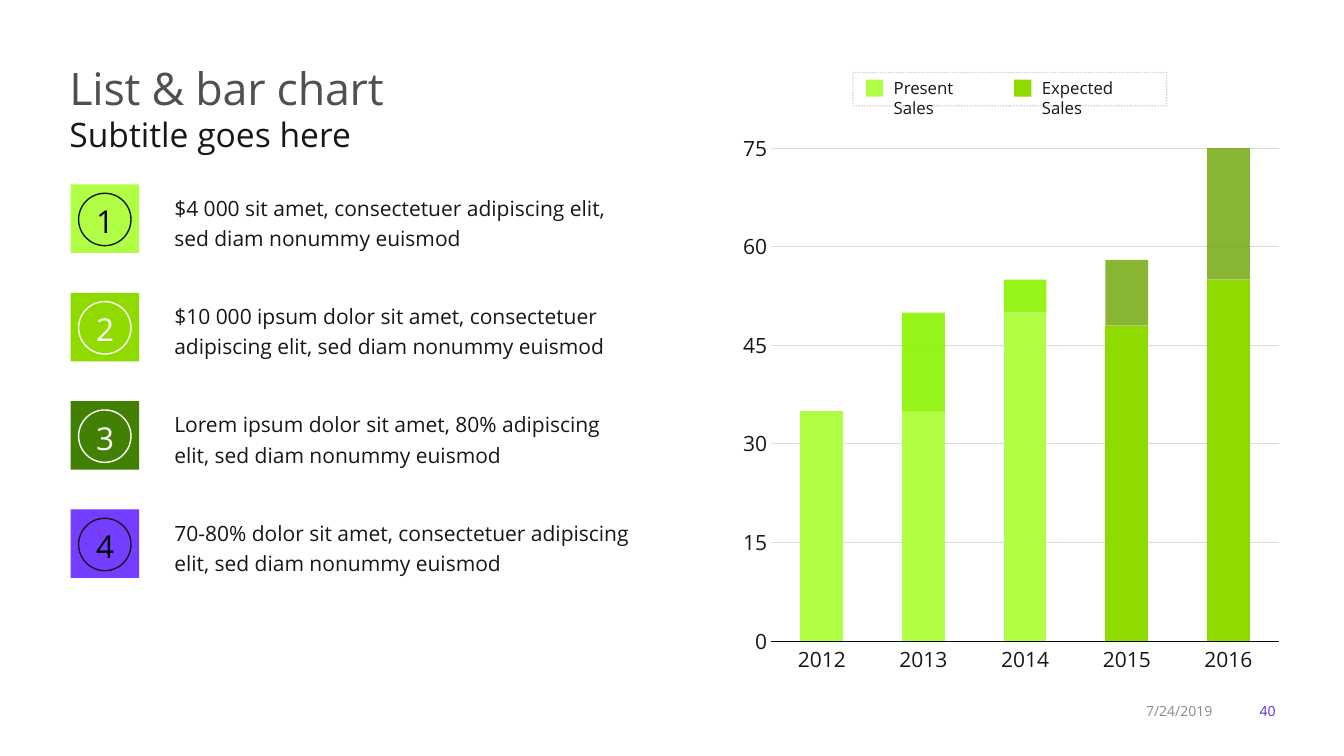
from dataclasses import dataclass

from lxml import etree
from pptx import Presentation
from pptx import util as u
from pptx.chart.data import CategoryChartData
from pptx.dml.color import RGBColor
from pptx.enum import chart as ch, dml, shapes, text
from pptx.oxml import parse_xml
from pptx.oxml.ns import nsdecls, qn


@dataclass(frozen=True)
class Theme:
    font: str = "Open Sans"
    ink: str = "161718"
    black: str = "000000"
    white: str = "FFFFFF"
    title: str = "4D5154"
    muted: str = "868B90"
    page: str = "622AD8"
    lime: str = "B0FF45"
    green: str = "8FDB00"
    forest: str = "428003"
    violet: str = "753DFF"
    bright: str = "8CF300"
    olive: str = "6BA400"
    axis: str = "0B0C0C"
    grid: str = "DBDCDE"
    h1: float = 32
    h2: float = 24
    digit: float = 22.5
    body: float = 15
    key: float = 12
    small: float = 10


T = Theme()
WIDE, HIGH = 13.33, 7.5
LEFT, MID, RIGHT = text.PP_ALIGN.LEFT, text.PP_ALIGN.CENTER, text.PP_ALIGN.RIGHT
RECT, OVAL = shapes.MSO_SHAPE.RECTANGLE, shapes.MSO_SHAPE.OVAL

# Fill, ring colour, digit colour and wording of each list row
ITEMS = [
    (T.lime, T.ink, T.black,
     "$4 000 sit amet, consectetuer adipiscing elit, sed diam nonummy euismod"),
    (T.green, T.white, T.white,
     "$10 000 ipsum dolor sit amet, consectetuer adipiscing elit, sed diam nonummy euismod"),
    (T.forest, T.white, T.white,
     "Lorem ipsum dolor sit amet, 80% adipiscing elit, sed diam nonummy euismod"),
    (T.violet, T.ink, T.black,
     "70-80% dolor sit amet, consectetuer adipiscing elit, sed diam nonummy euismod"),
]
YEARS = ["2012", "2013", "2014", "2015", "2016"]
# Name, values, (colour, opacity) of the series, and of single points
SALES = [
    ("Series 1", [35, 35, 50, 48, 55], (T.lime, 100),
     {3: (T.green, 100), 4: (T.green, 100)}),
    ("Series 2", [0, 15, 5, 10, 20], (T.lime, 80),
     {1: (T.bright, 90), 2: (T.bright, 90), 3: (T.olive, 80), 4: (T.olive, 80)}),
]


def area(x, y, w, h):
    """Turn percent of the slide's width and height into lengths."""
    return [u.Inches(part * side / 100)
            for part, side in ((x, WIDE), (y, HIGH), (w, WIDE), (h, HIGH))]


def rgb(code):
    return RGBColor.from_string(code)


def fade(node, share):
    """Set the opacity of the newest colour inside a node."""
    tint = node.findall(".//" + qn("a:srgbClr"))[-1]
    etree.SubElement(tint, qn("a:alpha")).set("val", str(share * 1000))


def style(font, size, color):
    font.name, font.size = T.font, u.Pt(size)
    font.color.rgb = rgb(color)


def write(shape, words, size, color, align=LEFT, lead=None):
    para = shape.text_frame.paragraphs[0]
    para.alignment = align
    if lead:
        para.line_spacing = lead
    run = para.add_run()
    run.text = words
    style(run.font, size, color)
    return run


def label(slide, spot, words, size, color, align=LEFT, lead=None, mid=False):
    box = slide.shapes.add_textbox(*area(*spot))
    box.text_frame.word_wrap = True
    if mid:
        box.text_frame.vertical_anchor = text.MSO_ANCHOR.MIDDLE
    return write(box, words, size, color, align, lead)


def block(slide, kind, spot, fill=None, line=None):
    shape = slide.shapes.add_shape(kind, *area(*spot))
    shape.shadow.inherit = False
    if fill:
        shape.fill.solid()
        shape.fill.fore_color.rgb = rgb(fill)
    else:
        shape.fill.background()
    if line:
        shape.line.color.rgb = rgb(line)
        shape.line.width = u.Pt(1)
    else:
        shape.line.fill.background()
    return shape


def item(slide, row, fill, ring, ink, words):
    y = 24.4 + 14.33 * row
    label(slide, (12.23, y + 0.1, 36.16, 9.47), words, T.body, T.ink, lead=1.2)
    block(slide, RECT, (5.25, y, 5.1, 9.07), fill)
    disc = block(slide, OVAL, (5.85, y + 1.17, 3.9, 6.93), line=ring)
    frame = disc.text_frame
    frame.vertical_anchor = text.MSO_ANCHOR.MIDDLE
    frame.margin_top = u.Inches(0.08)
    write(disc, str(row + 1), T.digit, ink, MID)


def legend(slide):
    keys = [("Present Sales", T.lime, 9.15), ("Expected Sales", T.green, 10.05)]
    for col, (words, fill, wide) in enumerate(keys):
        x = 64.44 + 11.02 * col
        block(slide, RECT, (x, 10.53, 1.28, 2.27), fill)
        label(slide, (x + 1.32, 9.6, wide, 4), words, T.key, T.ink)
    frame = block(slide, RECT, (63.47, 9.6, 23.33, 4.4), line=T.ink)
    frame.line.dash_style = dml.MSO_LINE.ROUND_DOT
    fade(frame.element.spPr, 20)


def paint(form, node, color, share):
    form.fill.solid()
    form.fill.fore_color.rgb = rgb(color)
    if share < 100:
        fade(node, share)


def place(chart, **parts):
    """Fix the inner plot area, in shares of the chart."""
    plot = chart.element.find(".//" + qn("c:plotArea"))
    for old in plot.findall(qn("c:layout")):
        plot.remove(old)
    sides = "".join(f'<c:{k} val="{v}"/>' for k, v in parts.items())
    plot.insert(0, parse_xml(
        f'<c:layout {nsdecls("c")}><c:manualLayout><c:layoutTarget val="inner"/>'
        f'<c:xMode val="edge"/><c:yMode val="edge"/>{sides}'
        '</c:manualLayout></c:layout>'))


def bars(slide):
    data = CategoryChartData()
    data.categories = YEARS
    for name, vals, *_ in SALES:
        data.add_series(name, vals)
    chart = slide.shapes.add_chart(ch.XL_CHART_TYPE.COLUMN_STACKED,
                                   *area(54.46, 16.27, 41.56, 74.13), data).chart
    chart.has_legend = chart.has_title = False
    style(chart.font, T.small, T.ink)
    place(chart, x=0.07, y=0.25 / 5.56, w=0.91, h=0.88)

    # Columns
    plot = chart.plots[0]
    plot.gap_width, plot.overlap, plot.vary_by_categories = 138, 100, False
    for ser, (_, _, base, points) in zip(plot.series, SALES):
        ser.invert_if_negative = False
        paint(ser.format, ser._element, *base)
        for spot, look in points.items():
            paint(ser.points[spot].format, ser._element, *look)

    # Axes
    cat, val = chart.category_axis, chart.value_axis
    for axis in (cat, val):
        axis.major_tick_mark = axis.minor_tick_mark = ch.XL_TICK_MARK.NONE
        style(axis.tick_labels.font, T.body, T.ink)
    val.minimum_scale, val.maximum_scale, val.major_unit = 0, 75, 15
    val.format.line.fill.background()
    for line, color, wide in ((cat.format.line, T.axis, 1),
                              (val.major_gridlines.format.line, T.grid, 0.75)):
        line.color.rgb = rgb(color)
        line.width = u.Pt(wide)


def main():
    deck = Presentation()
    deck.slide_width, deck.slide_height = u.Inches(WIDE), u.Inches(HIGH)
    slide = deck.slides.add_slide(deck.slide_layouts[6])

    # Heading
    head = label(slide, (4.43, 7.33, 43.06, 8.8), "List & bar chart", T.h1, T.title)
    head.font._element.set("spc", "-20")
    label(slide, (4.43, 13.47, 43.14, 7.2), "Subtitle goes here", T.h2, T.ink, lead=1.17)

    # List, chart and legend
    for row, entry in enumerate(ITEMS):
        item(slide, row, *entry)
    bars(slide)
    legend(slide)

    # Footer
    label(slide, (91.82, 92.27, 3.83, 3.47), "40", T.small, T.page, RIGHT, mid=True)
    label(slide, (83.8, 92.27, 7.13, 3.47), "7/24/2019", T.small, T.muted, RIGHT, mid=True)
    deck.save("out.pptx")


if __name__ == "__main__":
    main()
